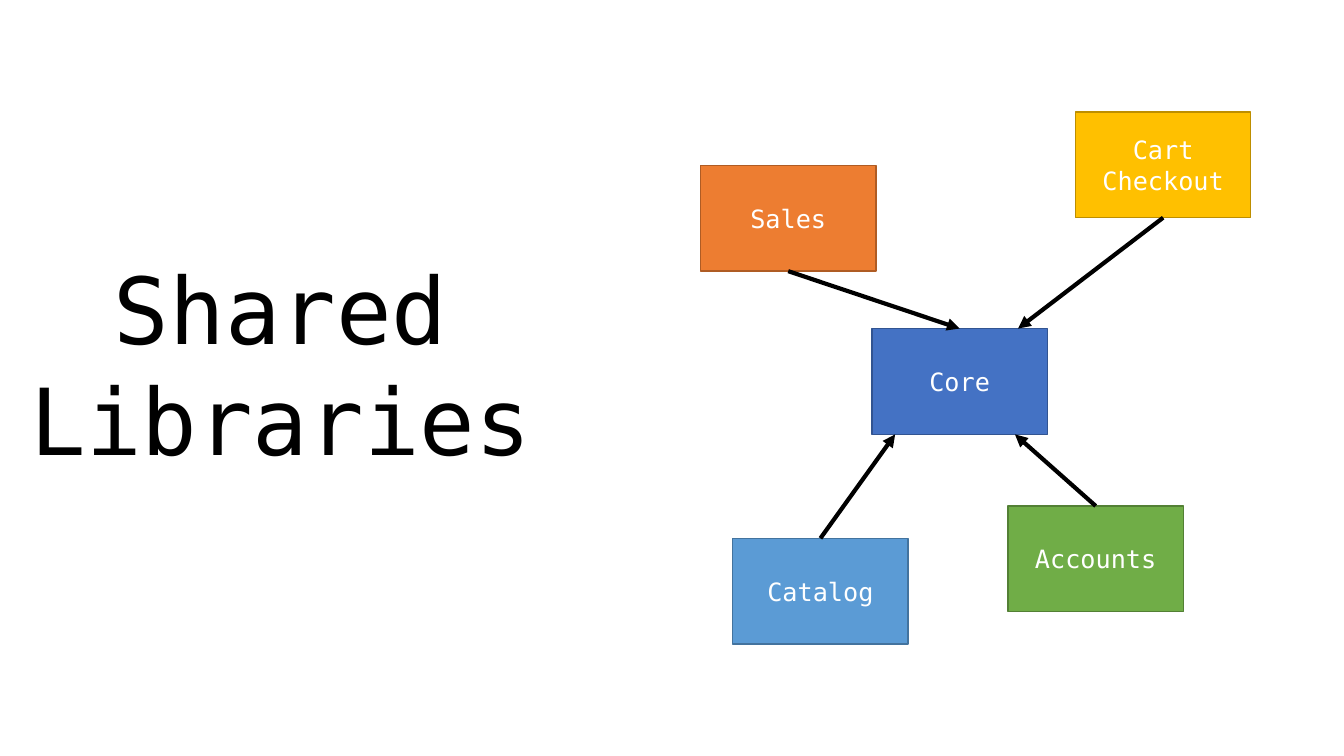
from lxml import etree
from pptx import Presentation
from pptx.dml.color import RGBColor
from pptx.enum.shapes import MSO_CONNECTOR as Connector, MSO_SHAPE as Shape
from pptx.enum.text import MSO_ANCHOR as Anchor, PP_ALIGN as Align
from pptx.oxml.ns import qn
from pptx.util import Pt

FONT = "DejaVu Sans Mono"
BOX_W, BOX_H = 125.3, 75.6
CORE_X, CORE_Y = 622.8, 234.7

# name, left, top, fill, outline, x where its arrow meets the core
MODULES = [
    ("Catalog", 523.4, 384.5, "5B9BD5", "43739E", 639.4),
    ("Sales", 500.4, 118.1, "ED7D31", "AF5C24", CORE_X + BOX_W / 2),
    ("Accounts", 720, 361.4, "70AD47", "538035", 725),
    ("Cart Checkout", 768.2, 79.9, "FFC000", "BD8E00", 727.2),
]


def color(value):
    return RGBColor.from_string(value)


def write(frame, text, size=18, ink="FFFFFF", anchor=Anchor.MIDDLE):
    frame.word_wrap = True
    frame.vertical_anchor = anchor
    paragraph = frame.paragraphs[0]
    paragraph.alignment = Align.CENTER
    run = paragraph.add_run()
    run.text = text
    run.font.name = FONT
    run.font.size = Pt(size)
    run.font.color.rgb = color(ink)


def add_title(slide, text):
    title = slide.shapes.add_textbox(Pt(-31.7), Pt(176.4), Pt(464.4), Pt(167))
    write(title.text_frame, text, size=66, ink="000000", anchor=Anchor.TOP)


def add_module(slide, name, left, top, fill, outline):
    module = slide.shapes.add_shape(
        Shape.RECTANGLE, Pt(left), Pt(top), Pt(BOX_W), Pt(BOX_H))
    module.shadow.inherit = False
    module.fill.solid()
    module.fill.fore_color.rgb = color(fill)
    module.line.color.rgb = color(outline)
    module.line.width = Pt(1)
    write(module.text_frame, name)


def add_dependency(slide, left, top, target_x):
    """Draw an arrow from a module's facing edge to the core's facing edge."""
    above = top < CORE_Y
    start_y = top + BOX_H if above else top
    end_y = CORE_Y if above else CORE_Y + BOX_H
    arrow = slide.shapes.add_connector(
        Connector.STRAIGHT, Pt(left + BOX_W / 2), Pt(start_y),
        Pt(target_x), Pt(end_y))
    arrow.line.color.rgb = color("000000")
    arrow.line.width = Pt(3)
    properties = arrow.element.spPr
    etree.SubElement(properties.find(qn("a:ln")), qn("a:tailEnd"), type="triangle")
    etree.SubElement(properties, qn("a:effectLst"))


def main():
    deck = Presentation()
    deck.slide_width, deck.slide_height = Pt(960), Pt(540)
    slide = deck.slides.add_slide(deck.slide_layouts[6])

    add_title(slide, "Shared Libraries")
    add_module(slide, "Core", CORE_X, CORE_Y, "4472C4", "325491")
    for name, left, top, fill, outline, _ in MODULES:
        add_module(slide, name, left, top, fill, outline)
    for _, left, top, _, _, target_x in MODULES:
        add_dependency(slide, left, top, target_x)

    deck.save("out.pptx")


if __name__ == "__main__":
    main()
